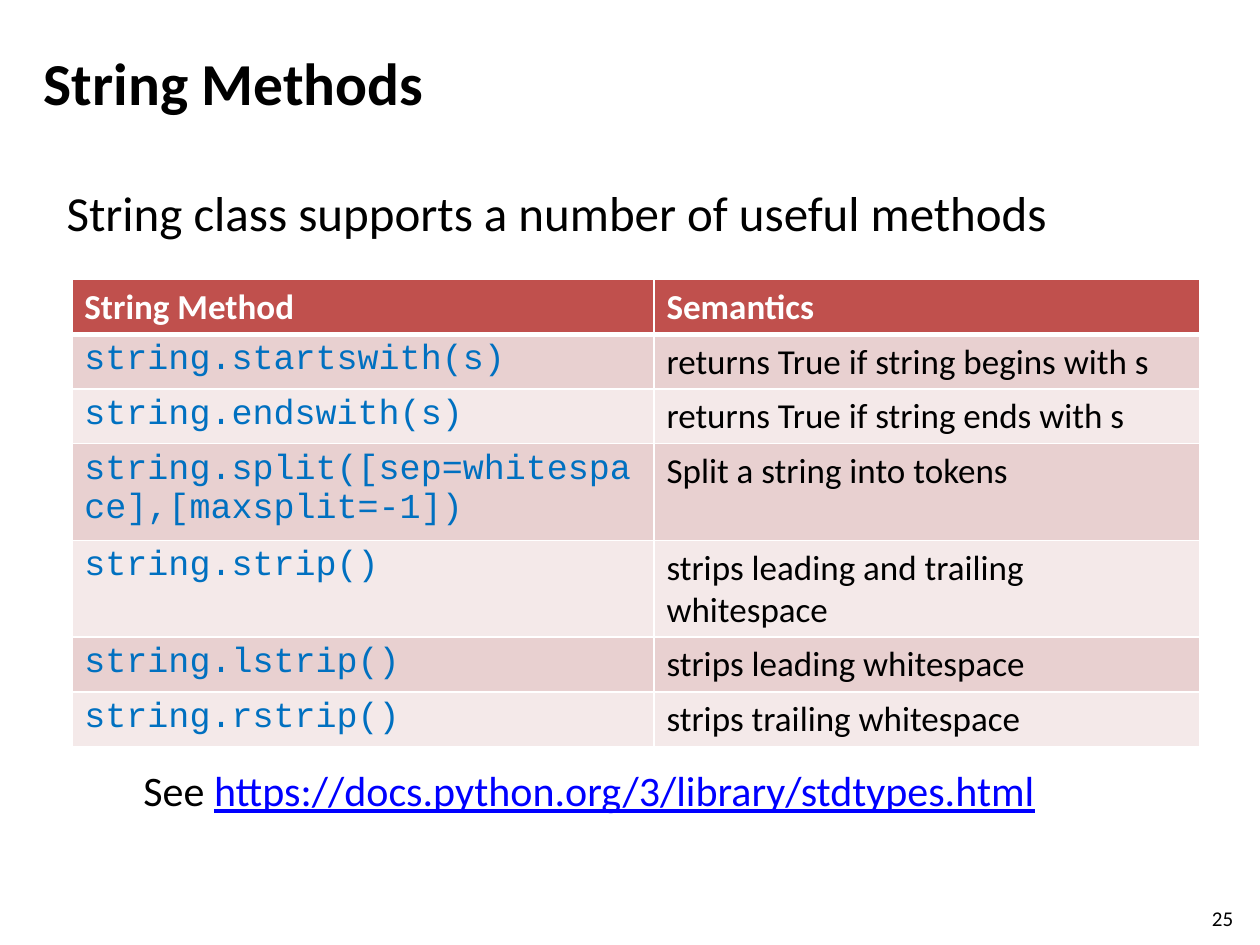
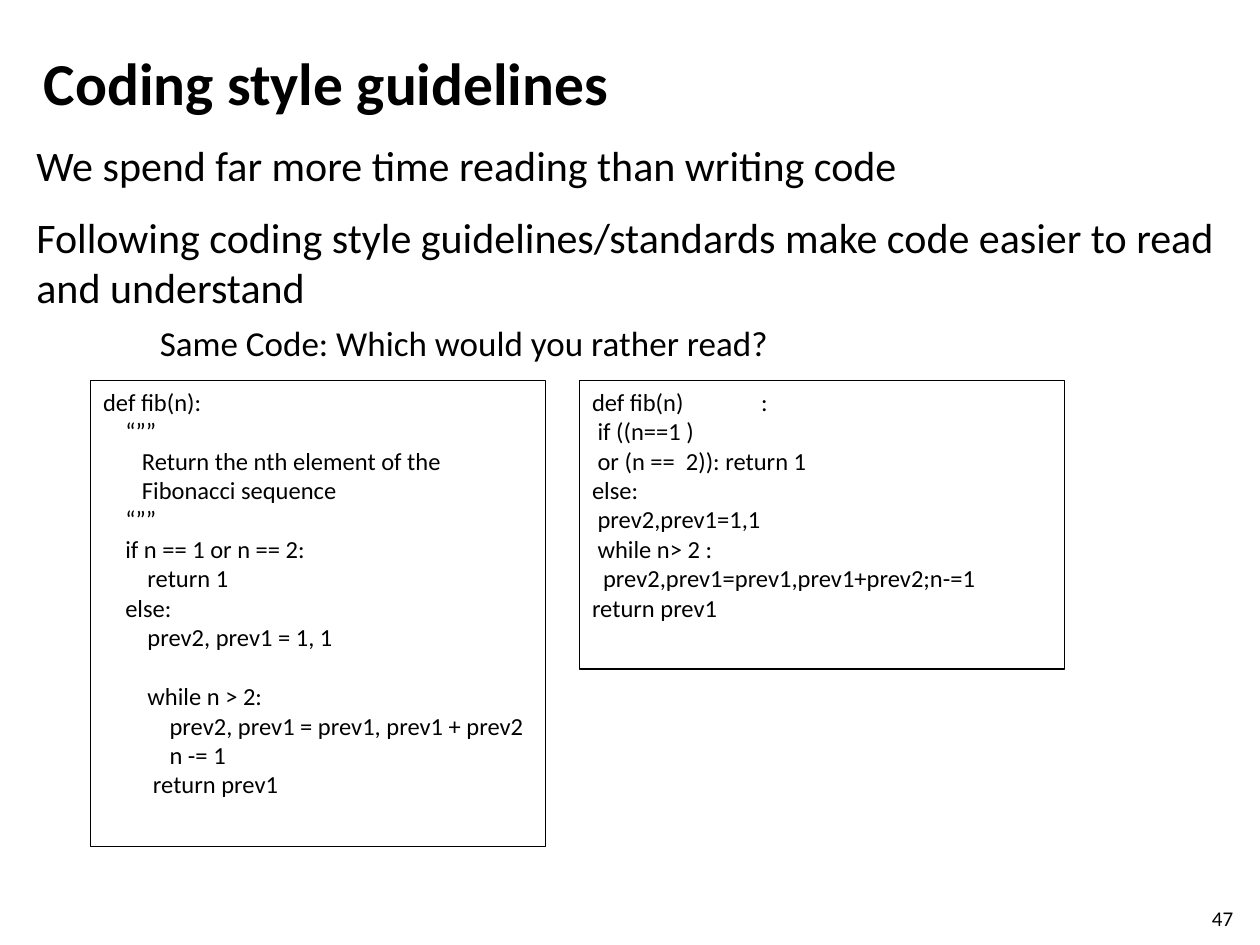
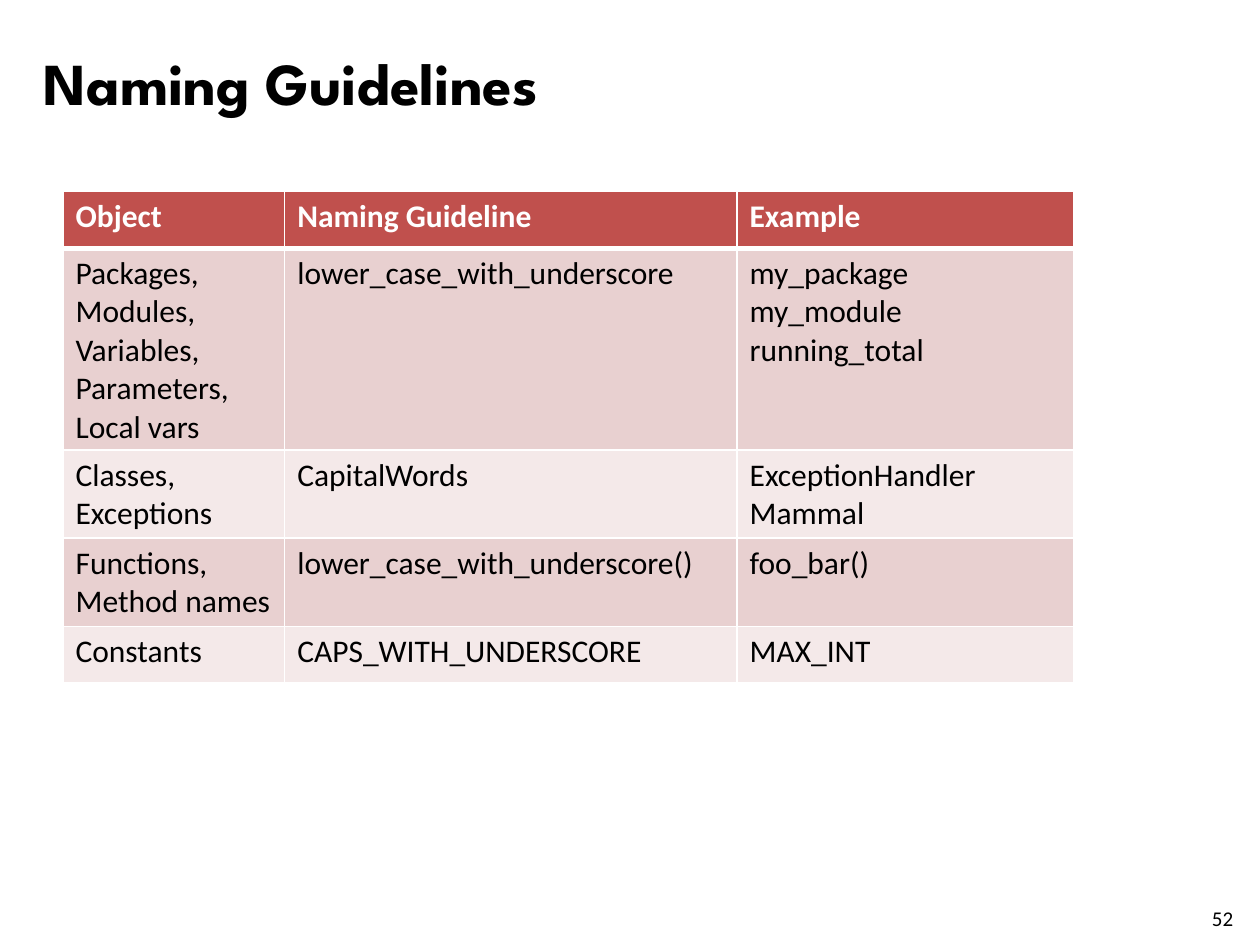
"""Builds three slides on Python string methods and coding style."""
from lxml import etree
from pptx import Presentation
from pptx.dml.color import RGBColor
from pptx.enum.shapes import MSO_SHAPE
from pptx.enum.text import MSO_ANCHOR, PP_ALIGN
from pptx.oxml.ns import qn
from pptx.util import Inches, Pt

RECT = MSO_SHAPE.RECTANGLE
LEFT = PP_ALIGN.LEFT
TOP, MIDDLE = MSO_ANCHOR.TOP, MSO_ANCHOR.MIDDLE
INK = {"text": "000000", "head": "C0504D", "odd": "E8D0D0", "even": "F4E9E9",
       "white": "FFFFFF", "code": "0070C0", "link": "0000FF"}


def write(frame, text, size=14, ink="text", font="Calibri", bold=False, after=0, anchor=TOP):
    frame.word_wrap = True
    frame.vertical_anchor = anchor
    for i, line in enumerate(text.split("\n") if isinstance(text, str) else text):
        para = frame.add_paragraph() if i else frame.paragraphs[0]
        para.alignment = LEFT
        para.space_after = Pt(after)
        for words, tone in [(line, ink)] if isinstance(line, str) else line:
            run = para.add_run()
            run.text = words
            run.font.size = Pt(size)
            run.font.name = font
            run.font.bold = bold
            run.font.underline = tone == "link"
            run.font.color.rgb = RGBColor.from_string(INK[tone])


def box(slide, spot, text, **form):
    shape = slide.shapes.add_textbox(*map(Inches, spot))
    write(shape.text_frame, text, **form)


deck = Presentation()
deck.slide_width, deck.slide_height = Inches(10), Inches(7.5)

slides = []
for title, number, font in [("String Methods", "25", "Calibri"),
                            ("Coding style guidelines", "47", "Calibri"),
                            ("Naming Guidelines", "52", "League Spartan")]:
    slide = deck.slides.add_slide(deck.slide_layouts[6])
    box(slide, (0.25, 0.3, 8.67, 0.7), title, size=34, font=font, bold=True, anchor=MIDDLE)
    box(slide, (9.52, 7.14, 0.4, 0.24), number, size=12)
    slides.append(slide)
strings, style, names = slides

box(strings, (0.43, 1.4, 8.48, 0.57), "String class supports a number of useful methods", size=28)
box(strings, (1.04, 6.02, 8.48, 0.5),
    [[("See ", "text"), ("https://docs.python.org/3/library/stdtypes.html", "link")]], size=24)

methods = [
    ("String Method", "Semantics"),
    ("string.startswith(s)", "returns True if string begins with s"),
    ("string.endswith(s)", "returns True if string ends with s"),
    ("string.split([sep=whitespace],[maxsplit=-1])", "Split a string into tokens"),
    ("string.strip()", "strips leading and trailing whitespace"),
    ("string.lstrip()", "strips leading whitespace"),
    ("string.rstrip()", "strips trailing whitespace"),
]
rules = [
    ("Object", "Naming Guideline", "Example"),
    ("Packages, Modules,\nVariables,\nParameters,\nLocal vars",
     "lower_case_with_underscore", "my_package\nmy_module\nrunning_total"),
    ("Classes, Exceptions", "CapitalWords", "ExceptionHandler\nMammal"),
    ("Functions,\nMethod names", "lower_case_with_underscore()", "foo_bar()"),
    ("Constants", "CAPS_WITH_UNDERSCORE", "MAX_INT"),
]
code = {"font": "Courier New", "ink": "code"}
for slide, left, top, widths, high, size, first, rows in [
        (strings, 0.57, 2.22, (4.62, 4.33), 0.43, 20, code, methods),
        (names, 0.5, 1.52, (1.76, 3.59, 2.67), 0.45, 18, {}, rules)]:
    spot = map(Inches, (left, top, sum(widths), high * len(rows)))
    table = slide.shapes.add_table(len(rows), len(widths), *spot).table
    table.horz_banding = False
    for col, wide in zip(table.columns, widths):
        col.width = Inches(wide)
    for r, row in enumerate(rows):
        table.rows[r].height = Inches(high)
        for c, words in enumerate(row):
            cell = table.cell(r, c)
            if r == 0:
                fill, form = "head", {"ink": "white", "bold": True}
            else:
                fill, form = "odd" if r % 2 else "even", {} if c else first
            write(cell.text_frame, words, size=size, **form)
            cell.fill.solid()
            cell.fill.fore_color.rgb = RGBColor.from_string(INK[fill])
            props = cell._tc.get_or_add_tcPr()
            for i, side in enumerate("LRTB"):
                thick = (r, side) in [(0, "B"), (1, "T")]
                line = etree.Element(qn(f"a:ln{side}"), w=str(Pt(3 if thick else 1)))
                paint = etree.SubElement(line, qn("a:solidFill"))
                etree.SubElement(paint, qn("a:srgbClr"), val=INK["white"])
                props.insert(i, line)

box(style, (0.19, 1.06, 9.58, 1.44),
    "We spend far more time reading than writing code\n"
    "Following coding style guidelines/standards make code easier to read and understand",
    size=24, after=12)
box(style, (1.17, 2.5, 5.23, 0.44), "Same Code: Which would you rather read?", size=20)

neat = """def fib(n):
    “””
       Return the nth element of the
       Fibonacci sequence
    “””
    if n == 1 or n == 2:
        return 1
    else:
        prev2, prev1 = 1, 1
        while n > 2:
            prev2, prev1 = prev1, prev1 + prev2
            n -= 1
         return prev1"""
messy = """def fib(n)              :
 if ((n==1 )
 or (n ==  2)): return 1
else:
 prev2,prev1=1,1
 while n> 2 :
  prev2,prev1=prev1,prev1+prev2;n-=1
return prev1"""
for left, wide, high, text in [(0.72, 3.61, 3.7, neat), (4.6, 3.85, 2.29, messy)]:
    panel = style.shapes.add_shape(RECT, *map(Inches, (left, 3.02, wide, high)))
    panel.shadow.inherit = False
    panel.fill.background()
    panel.line.color.rgb = RGBColor.from_string(INK["text"])
    panel.line.width = Pt(0.75)
    write(panel.text_frame, text)
    for para in panel.text_frame.paragraphs:
        if para.text.strip() == "while n > 2:":
            para.space_before = Pt(17)

deck.save("out.pptx")
